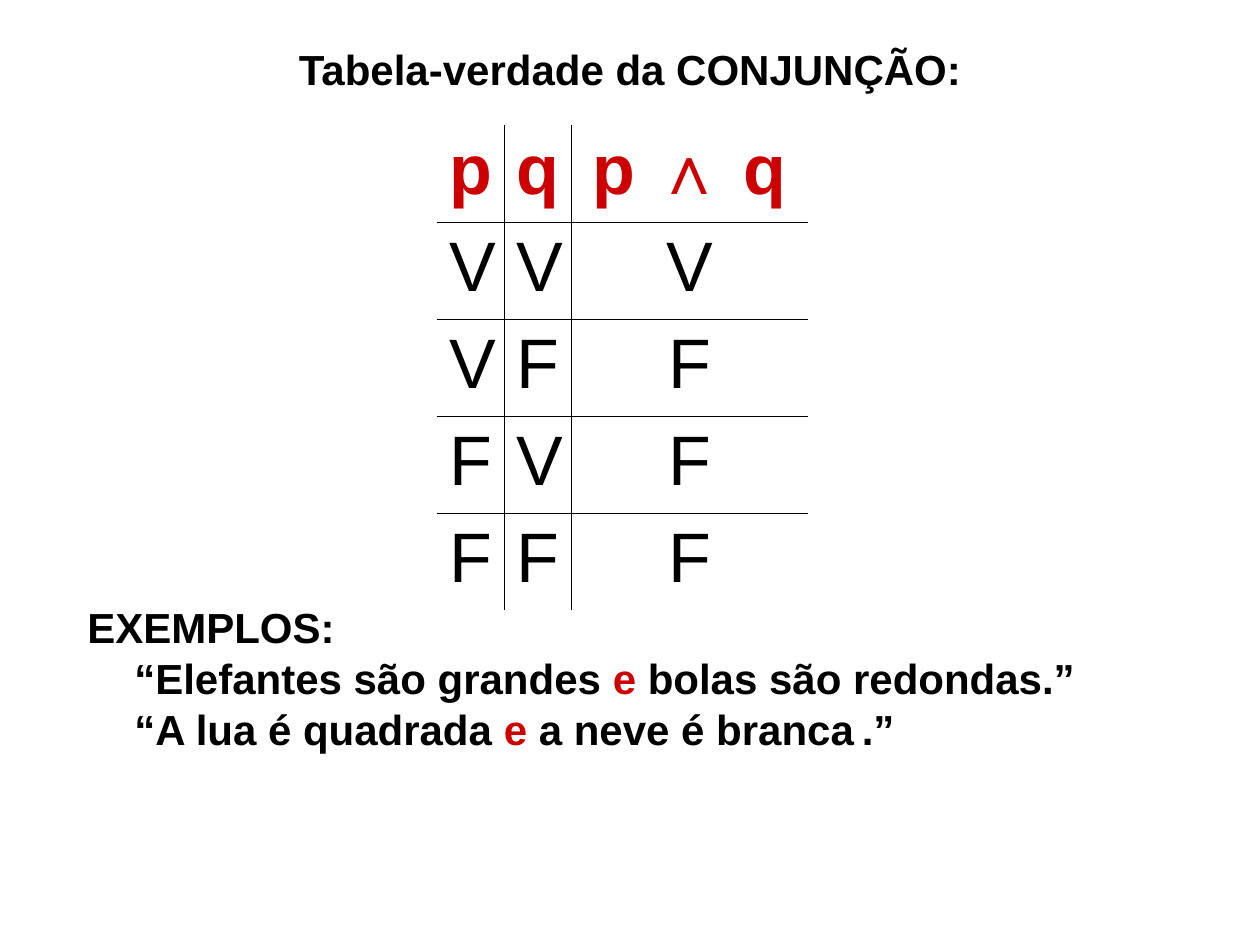
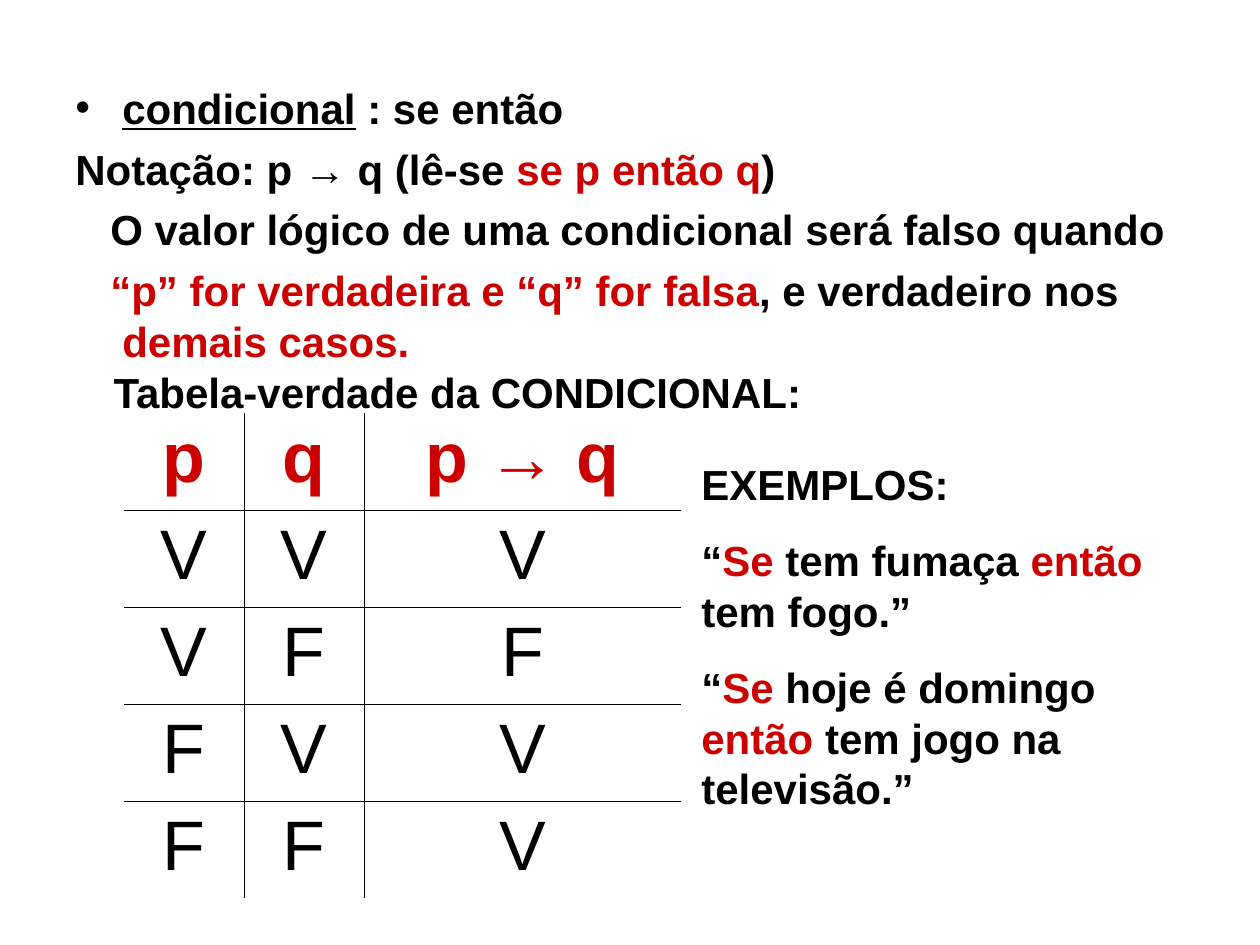
import pptx
import pptx.util
import pptx.dml.color
import pptx.enum.text
import pptx.oxml
import pptx.oxml.ns

EMU_PER_PX = 914400 / 126
FONT = "Arial"
COLORS = {"text": "000000", "accent": "CC0000", "rule": "000000"}
TEXT_SIZE, CELL_SIZE = 24, 40
ROW_HEIGHT = 97
RULE_WIDTH_PT = 0.45
ALIGN = pptx.enum.text.PP_ALIGN
ACCENT = {"color": "accent"}


def px(n):
    return pptx.util.Emu(round(n * EMU_PER_PX))


def add_run(p, text, size=TEXT_SIZE, color="text", bold=True, underline=False):
    r = p.add_run()
    r.text = text
    r.font.name = FONT
    r.font.size = pptx.util.Pt(size)
    r.font.bold = bold
    r.font.underline = underline
    r.font.color.rgb = pptx.dml.color.RGBColor.from_string(COLORS[color])


def format_paragraph(p, left=0, first=0, bullet=None, before=0, spacing=1.0):
    """Indents in px: left margin, and first line relative to it."""
    pPr = p._p.get_or_add_pPr()
    pPr.set("marL", str(px(left)))
    pPr.set("indent", str(px(first)))
    if bullet:
        ns = pptx.oxml.ns.nsdecls("a")
        pPr.append(pptx.oxml.parse_xml(f'<a:buFont {ns} typeface="{FONT}"/>'))
        pPr.append(pptx.oxml.parse_xml(f'<a:buChar {ns} char="{bullet}"/>'))
    p.space_before = pptx.util.Pt(before)
    p.line_spacing = spacing


def prepare_frame(tf):
    tf.word_wrap = True
    tf.auto_size = pptx.enum.text.MSO_AUTO_SIZE.NONE
    tf.vertical_anchor = pptx.enum.text.MSO_ANCHOR.TOP


def add_title(slide, text, left, top, width, height, align):
    sp = slide.shapes.title
    sp.left, sp.top, sp.width, sp.height = map(px, (left, top, width, height))
    prepare_frame(sp.text_frame)
    p = sp.text_frame.paragraphs[0]
    p.alignment = align
    add_run(p, text)


def add_text(slide, left, top, width, height, paragraphs, before=0, spacing=1.0):
    """Each paragraph is (indent options, runs); a run is text or (text, format)."""
    sp = slide.shapes.add_textbox(*map(px, (left, top, width, height)))
    tf = sp.text_frame
    prepare_frame(tf)
    for i, (indents, runs) in enumerate(paragraphs):
        p = tf.add_paragraph() if i else tf.paragraphs[0]
        format_paragraph(p, before=before if i else 0, spacing=spacing, **indents)
        for run in runs:
            text, style = (run, {}) if isinstance(run, str) else run
            add_run(p, text, **style)


def set_borders(cell, **sides):
    """Draws the sides given as true, and clears the others."""
    tcPr = cell._tc.get_or_add_tcPr()
    width = pptx.util.Pt(RULE_WIDTH_PT)
    solid = f'<a:solidFill><a:srgbClr val="{COLORS["rule"]}"/></a:solidFill>'
    for side, drawn in sides.items():
        tcPr.append(pptx.oxml.parse_xml(
            f'<a:ln{side} {pptx.oxml.ns.nsdecls("a")} w="{width}">'
            f'{solid if drawn else "<a:noFill/>"}</a:ln{side}>'))


def add_truth_table(slide, left, top, col_widths, formula, results):
    rows = [("p", "q", formula)]
    rows += [(*values, result) for values, result in zip(("VV", "VF", "FV", "FF"), results)]
    last_row, last_col = len(rows) - 1, len(col_widths) - 1
    frame = slide.shapes.add_table(
        len(rows), len(col_widths), px(left), px(top),
        px(sum(col_widths)), px(ROW_HEIGHT * len(rows)))
    table = frame.table
    table.first_row = table.horz_banding = False
    for col, width in zip(table.columns, col_widths):
        col.width = px(width)
    for i, values in enumerate(rows):
        table.rows[i].height = px(ROW_HEIGHT)
        for j, text in enumerate(values):
            cell = table.cell(i, j)
            # Only the inner rules are drawn
            set_borders(cell, L=j > 0, R=j < last_col, T=i > 0, B=i < last_row)
            cell.fill.background()
            p = cell.text_frame.paragraphs[0]
            p.alignment = ALIGN.CENTER
            header = i == 0
            add_run(p, text, size=CELL_SIZE, bold=header,
                    color="accent" if header else "text")


def build_conjunction(slide):
    add_title(slide, "Tabela-verdade da CONJUNÇÃO:", 63, 37, 1134, 63, ALIGN.CENTER)
    add_truth_table(slide, 437, 125, (67, 67, 237), "p ∧ q", "VFFF")
    example = {"left": 47}
    add_text(slide, 75, 605, 1122, 165, [
        ({}, ["EXEMPLOS:"]),
        (example, ["“Elefantes são grandes ", ("e", ACCENT), " bolas são redondas.”"]),
        (example, ["“A lua é quadrada ", ("e", ACCENT), " a neve é branca",
                   (" ", {"size": 16, "bold": False}), ".”"]),
    ], before=6, spacing=0.8)


def build_conditional(slide):
    # Definition
    explanation = {"left": 47, "first": -12}
    add_text(slide, 63, 76, 1133, 290, [
        ({"left": 47, "first": -47, "bullet": "•"},
         [("condicional", {"underline": True}), " : se então"]),
        ({}, ["Notação: p → q (lê-se ", ("se p então q", ACCENT), ")"]),
        (explanation, ["O valor lógico de uma condicional será falso quando"]),
        (explanation, [("“p” for verdadeira e “q” for falsa", ACCENT),
                       ", e verdadeiro nos ", ("demais casos.", ACCENT)]),
    ], before=6)

    # Truth table under its heading
    add_title(slide, "Tabela-verdade da CONDICIONAL:", 101, 360, 717, 63, ALIGN.LEFT)
    add_truth_table(slide, 124, 413, (120, 120, 317), "p → q", "VFVV")

    # Examples
    se, entao = ("Se", ACCENT), ("então", ACCENT)
    add_text(slide, 689, 452, 486, 368, [
        ({}, ["EXEMPLOS:"]),
        ({}, ["“", se, " tem fumaça ", entao, " tem fogo.”"]),
        ({}, ["“", se, " hoje é domingo ", entao, " tem jogo na televisão.”"]),
    ], before=15)


def main():
    prs = pptx.Presentation()
    prs.slide_width, prs.slide_height = px(1260), px(945)
    title_only = prs.slide_layouts[5]
    for build in (build_conjunction, build_conditional):
        build(prs.slides.add_slide(title_only))
    prs.save("out.pptx")


if __name__ == "__main__":
    main()
